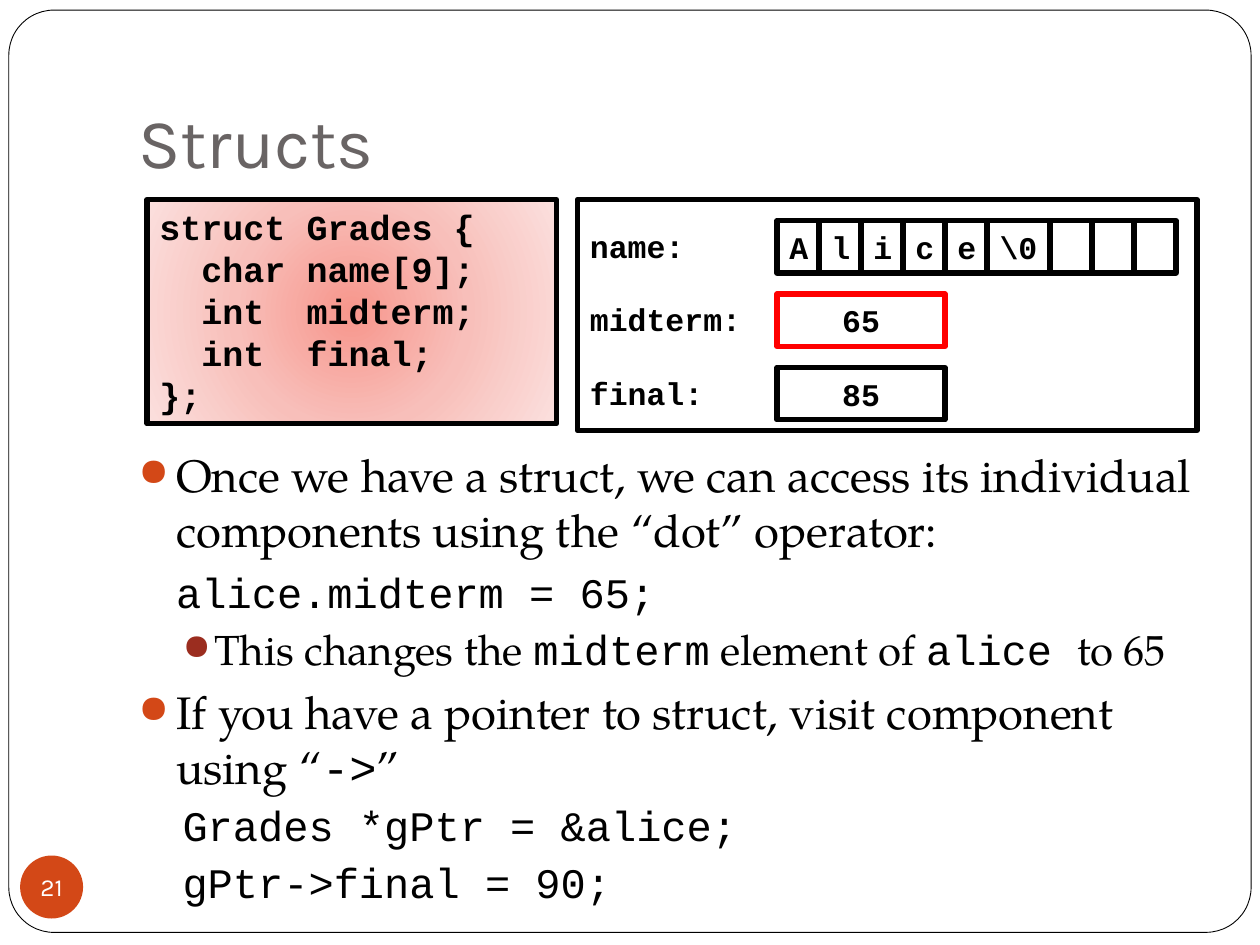
from dataclasses import dataclass
from typing import Optional

from pptx import Presentation
from pptx.dml.color import RGBColor
from pptx.enum.shapes import MSO_SHAPE
from pptx.enum.text import MSO_ANCHOR, PP_ALIGN
from pptx.oxml import parse_xml
from pptx.oxml.ns import nsdecls
from pptx.util import Inches, Pt

COLORS = {
    "black": "000000", "white": "FFFFFF", "title": "696464", "red": "FF0000",
    "orange": "D34817", "brick": "9B2D1F",
    "glow_in": "F7968C", "glow_mid": "F8BFBA", "glow_out": "FBE0DE",
}
SANS, SERIF, MONO = "Karla", "TeX Gyre Pagella", "Courier New"
UNIT = 1 / 12


@dataclass
class Cell:
    """A memory cell on the grid of twelfths of an inch."""
    col: int
    row: int
    cols: int
    text: str = ""
    line: str = "black"


@dataclass
class Para:
    """A body paragraph; its runs alternate between serif and code type."""
    runs: list[tuple[str, str]]
    size: float = 24
    left: float = 0.3
    hang: float = 0
    before: float = 5.8
    bullet: Optional[str] = None


def rgb(name: str) -> RGBColor:
    """Look up a colour."""
    return RGBColor.from_string(COLORS[name])


def grid(*units: int) -> list[float]:
    """Turn grid units into inches."""
    return [u * UNIT for u in units]


def add_text(p, text: str, *, size: float = 18, font: str = MONO,
             color: str = "black", bold: bool = False, align=PP_ALIGN.LEFT):
    """Add a formatted run to a paragraph."""
    p.alignment = align
    r = p.add_run()
    r.text = text
    r.font.size, r.font.name, r.font.bold = Pt(size), font, bold
    r.font.color.rgb = rgb(color)


def add_box(s, kind, at: list[float], *, fill: Optional[str] = None,
            line: Optional[str] = "black", width: float = 3):
    """Add a preset shape without a shadow."""
    sp = s.shapes.add_shape(kind, *map(Inches, at))
    sp.shadow.inherit = False
    if fill:
        sp.fill.solid()
        sp.fill.fore_color.rgb = rgb(fill)
    else:
        sp.fill.background()
    if line:
        sp.line.color.rgb = rgb(line)
        sp.line.width = Pt(width)
    else:
        sp.line.fill.background()
    return sp


def add_textbox(s, at: list[float], anchor=MSO_ANCHOR.TOP):
    """Add a wrapping text box and return its text frame."""
    tf = s.shapes.add_textbox(*map(Inches, at)).text_frame
    tf.word_wrap, tf.vertical_anchor = True, anchor
    return tf


def add_glow(sp) -> None:
    """Give a shape a circular gradient fill."""
    stops = "".join(
        f'<a:gs pos="{pos}"><a:srgbClr val="{COLORS[name]}"/></a:gs>'
        for pos, name in ((0, "glow_in"), (50000, "glow_mid"), (100000, "glow_out")))
    grad = parse_xml(
        f'<a:gradFill {nsdecls("a")} rotWithShape="1"><a:gsLst>{stops}</a:gsLst>'
        '<a:path path="circle"><a:fillToRect l="50000" t="50000" r="50000" b="50000"/>'
        '</a:path></a:gradFill>')
    sp.fill.background()
    spPr = sp._element.spPr
    spPr.replace(spPr.find("{*}noFill"), grad)


def add_para(p, para: Para) -> None:
    """Fill a body paragraph with its indent, bullet and runs."""
    p.space_before = Pt(para.before)
    pPr = p._p.get_or_add_pPr()
    pPr.set("marL", str(Inches(para.left)))
    pPr.set("indent", str(Inches(-para.hang)))
    if para.bullet:
        for xml in (f'buClr {nsdecls("a")}><a:srgbClr val="{COLORS[para.bullet]}"/></a:buClr>',
                    f'buSzPct {nsdecls("a")} val="85000"/>',
                    f'buChar {nsdecls("a")} char="●"/>'):
            pPr.append(parse_xml("<a:" + xml))
    for text, font in para.runs:
        add_text(p, text, size=para.size, font=font)


def add_cell(s, cell: Cell) -> None:
    """Draw one memory cell."""
    sp = add_box(s, MSO_SHAPE.RECTANGLE, grid(cell.col, cell.row, cell.cols, 5), line=cell.line)
    if cell.text:
        tf = sp.text_frame
        tf.vertical_anchor = MSO_ANCHOR.MIDDLE
        add_text(tf.paragraphs[0], cell.text, bold=True, align=PP_ALIGN.CENTER)


CODE = ["struct Grades {", "  char name[9];", "  int  midterm;", "  int  final;", "};"]
FIELDS = ["name:", "midterm:", "final:"]
LETTERS = ["A", "l", "i", "c", "e", "\\0", "", "", ""]
BODY = [
    Para([("Once we have a struct, we can access its individual components "
           "using the “dot” operator:", SERIF)], size=26, hang=0.3, bullet="orange"),
    Para([("alice.midterm = 65;", MONO)]),
    Para([("This changes the ", SERIF), ("midterm", MONO), (" element of ", SERIF),
          ("alice ", MONO), ("to 65", SERIF)], left=0.6, hang=0.25, before=3.7, bullet="brick"),
    Para([("If you have a pointer to struct, visit component using “", SERIF),
          ("->", MONO), ("”", SERIF)], size=26, hang=0.3, bullet="orange"),
    Para([("Grades *gPtr = &alice;", MONO)], left=0.35, before=3.7),
    Para([("gPtr->final = 90;", MONO)], left=0.35, before=3.7),
]


def main() -> None:
    """Build the slide."""
    prs = Presentation()
    prs.slide_width, prs.slide_height = Inches(10), Inches(7.5)
    s = prs.slides.add_slide(prs.slide_layouts[6])

    frame = add_box(s, MSO_SHAPE.ROUNDED_RECTANGLE, [0.07, 0.08, 9.86, 7.32],
                    fill="white", width=0.5)
    frame.adjustments[0] = 0.049

    tf = add_textbox(s, [1, 0.3, 8.5, 1.25], MSO_ANCHOR.BOTTOM)
    tf.margin_bottom = Inches(0.1)
    add_text(tf.paragraphs[0], "Structs", size=40, font=SANS, color="title")

    tf = add_textbox(s, [1, 3.5, 8.58, 3.75])
    for i, para in enumerate(BODY):
        add_para(tf.add_paragraph() if i else tf.paragraphs[0], para)

    sp = add_box(s, MSO_SHAPE.RECTANGLE, [14 * UNIT, 19 * UNIT, 3.25, 1.78])
    add_glow(sp)
    tf = sp.text_frame
    tf.vertical_anchor = MSO_ANCHOR.TOP
    for i, line in enumerate(CODE):
        add_text(tf.add_paragraph() if i else tf.paragraphs[0], line, size=20, bold=True)

    add_box(s, MSO_SHAPE.RECTANGLE, grid(55, 19, 59, 22))
    for i, field in enumerate(FIELDS):
        tf = add_textbox(s, grid(55, 21 + 7 * i, 19, 5))
        add_text(tf.paragraphs[0], field, bold=True)

    cells = [Cell(74, 28, 16, "65", "red"), Cell(74, 35, 16, "85")]
    col = 74
    for letter in LETTERS:
        cols = 6 if len(letter) > 1 else 4
        cells.append(Cell(col, 21, cols, letter))
        col += cols
    for cell in cells:
        add_cell(s, cell)

    badge = add_box(s, MSO_SHAPE.OVAL, [0.16, 6.79, 0.5, 0.5], fill="orange", line=None)
    tf = badge.text_frame
    tf.margin_left = tf.margin_right = tf.margin_top = tf.margin_bottom = 0
    tf.word_wrap, tf.vertical_anchor = False, MSO_ANCHOR.MIDDLE
    add_text(tf.paragraphs[0], "21", size=14, font=SANS, color="white", align=PP_ALIGN.CENTER)

    prs.save("out.pptx")


main()
